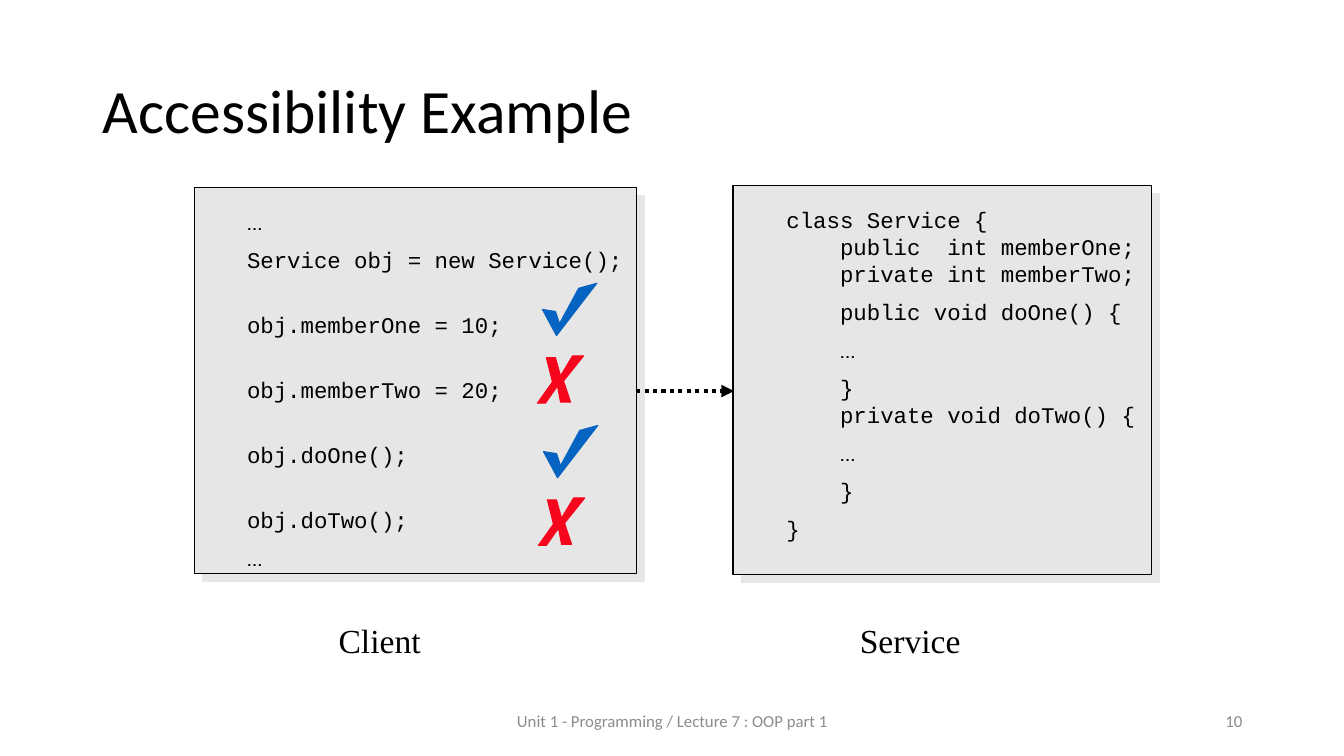
import pptx
import pptx.util
import pptx.dml.color
import pptx.enum.dml
import pptx.enum.shapes
import pptx.enum.text
import pptx.oxml
import pptx.oxml.ns

Inches = pptx.util.Inches
Pt = pptx.util.Pt
ALIGN = pptx.enum.text.PP_ALIGN
ANCHOR = pptx.enum.text.MSO_ANCHOR

COLORS = {"ink": "000000", "panel": "E7E6E6", "check": "0563C1",
          "cross": "F6061D", "footer": "8C8C8C"}
CODE_FONT = "Courier New"
ELLIPSIS_FONT = "Cabin"

TITLE = "Accessibility Example"
FOOTERS = [
    ("Unit 1 - Programming / Lecture 7 : OOP part 1", (4.42, 6.95, 4.5, 0.4), ALIGN.CENTER),
    ("10", (9.42, 6.95, 3, 0.4), ALIGN.RIGHT),
]
PANELS = [
    {
        "label": "Service", "label_at": (8.43, 6.1, 1.2, 0.5),
        "panel_at": (7.27, 1.84, 4.15, 3.86), "code_at": (7.2, 2, 4.22, 3.58),
        "code": [
            ("class Service {\n    public  int memberOne;\n    private int memberTwo;", 1),
            ("    public void doOne() {", 1),
            ("    …", 1),
            ("    }\n    private void doTwo() {", 1),
            ("    …", 1),
            ("    }", 1),
            ("}", 1),
        ],
    },
    {
        "label": "Client", "label_at": (3.26, 6.1, 1.1, 0.5),
        "panel_at": (1.93, 1.86, 4.38, 3.83), "code_at": (1.85, 2.02, 4.45, 4.24),
        "code": [
            ("…", 1),
            ("Service obj = new Service();", 1),
            ("obj.memberOne = 10;", 2),
            ("obj.memberTwo = 20;", 2),
            ("obj.doOne();", 2),
            ("obj.doTwo();", 2),
            ("…", 1),
        ],
    },
]
MARKS = {
    "check": [(5.38, 3.07), (5.51, 3.09), (5.55, 3.21), (5.74, 2.86),
              (5.92, 2.81), (5.52, 3.33)],
    "cross": [(5.42, 3.55), (5.51, 3.55), (5.56, 3.73), (5.68, 3.53),
              (5.79, 3.53), (5.59, 3.78), (5.66, 3.99), (5.56, 3.99),
              (5.53, 3.83), (5.41, 4), (5.33, 4), (5.48, 3.79)],
}
MARK_STEP = (0.01, 1.41)
ARROW = (6.31, 3.88, 7.28, 3.88)


def rgb(name):
    return pptx.dml.color.RGBColor.from_string(COLORS[name])


def style_font(font, size, name, color="ink"):
    font.size = Pt(size)
    font.name = name
    font.color.rgb = rgb(color)


def paint(shape, fill, line):
    shape.shadow.inherit = False
    shape.fill.solid()
    shape.fill.fore_color.rgb = rgb(fill)
    shape.line.color.rgb = rgb(line)
    shape.line.width = Pt(0.75)


def add_text(slide, at, text, size, font, color="ink", align=ALIGN.LEFT,
             anchor=ANCHOR.TOP):
    box = slide.shapes.add_textbox(*map(Inches, at))
    box.text_frame.word_wrap = True
    box.text_frame.vertical_anchor = anchor
    para = box.text_frame.paragraphs[0]
    para.text = text
    para.alignment = align
    style_font(para.font, size, font, color)


def add_panel(slide, at):
    panel = slide.shapes.add_shape(pptx.enum.shapes.MSO_SHAPE.RECTANGLE, *map(Inches, at))
    paint(panel, "panel", "ink")
    effects = panel._element.spPr.find(pptx.oxml.ns.qn("a:effectLst"))
    effects.append(pptx.oxml.parse_xml(
        f'<a:outerShdw {pptx.oxml.ns.nsdecls("a")} dist="{Pt(8.5)}" dir="2700000">'
        f'<a:srgbClr val="{COLORS["panel"]}"/></a:outerShdw>'))


def add_code(slide, at, lines):
    frame = slide.shapes.add_textbox(*map(Inches, at)).text_frame
    frame.word_wrap = True
    frame.margin_left = Inches(0.6)
    for index, (text, spacing) in enumerate(lines):
        para = frame.paragraphs[0] if index == 0 else frame.add_paragraph()
        para.space_before = Pt(8)
        para.line_spacing = spacing
        style_font(para.font, 16, CODE_FONT)
        para.text = text.rstrip("…")
        if text.endswith("…"):
            span = para.add_run()
            span.text = "…"
            span.font.name = ELLIPSIS_FONT


def add_mark(slide, kind, row):
    points = [(Inches(x + row * MARK_STEP[0]), Inches(y + row * MARK_STEP[1]))
              for x, y in MARKS[kind]]
    builder = slide.shapes.build_freeform(*points[0])
    builder.add_line_segments(points[1:], close=True)
    paint(builder.convert_to_shape(), kind, kind)


def add_arrow(slide):
    arrow = slide.shapes.add_connector(
        pptx.enum.shapes.MSO_CONNECTOR.STRAIGHT, *map(Inches, ARROW))
    arrow.line.color.rgb = rgb("ink")
    arrow.line.width = Pt(3)
    arrow.line.dash_style = pptx.enum.dml.MSO_LINE.ROUND_DOT
    namespace = pptx.oxml.ns.nsdecls("a")
    arrow.line._get_or_add_ln().append(
        pptx.oxml.parse_xml(f'<a:tailEnd {namespace} type="triangle"/>'))
    arrow._element.spPr.append(pptx.oxml.parse_xml(f"<a:effectLst {namespace}/>"))


def main():
    deck = pptx.Presentation()
    deck.slide_width, deck.slide_height = Inches(13.33), Inches(7.5)
    slide = deck.slides.add_slide(deck.slide_layouts[5])

    title = slide.shapes.title
    title.left, title.top, title.width, title.height = map(Inches, (0.92, 0.4, 11.5, 1.45))
    title.text_frame.vertical_anchor = ANCHOR.MIDDLE
    heading = title.text_frame.paragraphs[0]
    heading.text = TITLE
    heading.alignment = ALIGN.LEFT
    heading.line_spacing = 0.9
    style_font(heading.font, 44, "Calibri")

    for panel in PANELS:
        add_panel(slide, panel["panel_at"])
        add_code(slide, panel["code_at"], panel["code"])
        add_text(slide, panel["label_at"], panel["label"], 24, "Times New Roman")
    for row in range(2):
        for kind in MARKS:
            add_mark(slide, kind, row)
    add_arrow(slide)
    for text, at, align in FOOTERS:
        add_text(slide, at, text, 12, "Calibri", "footer", align, ANCHOR.MIDDLE)

    deck.save("out.pptx")


if __name__ == "__main__":
    main()
